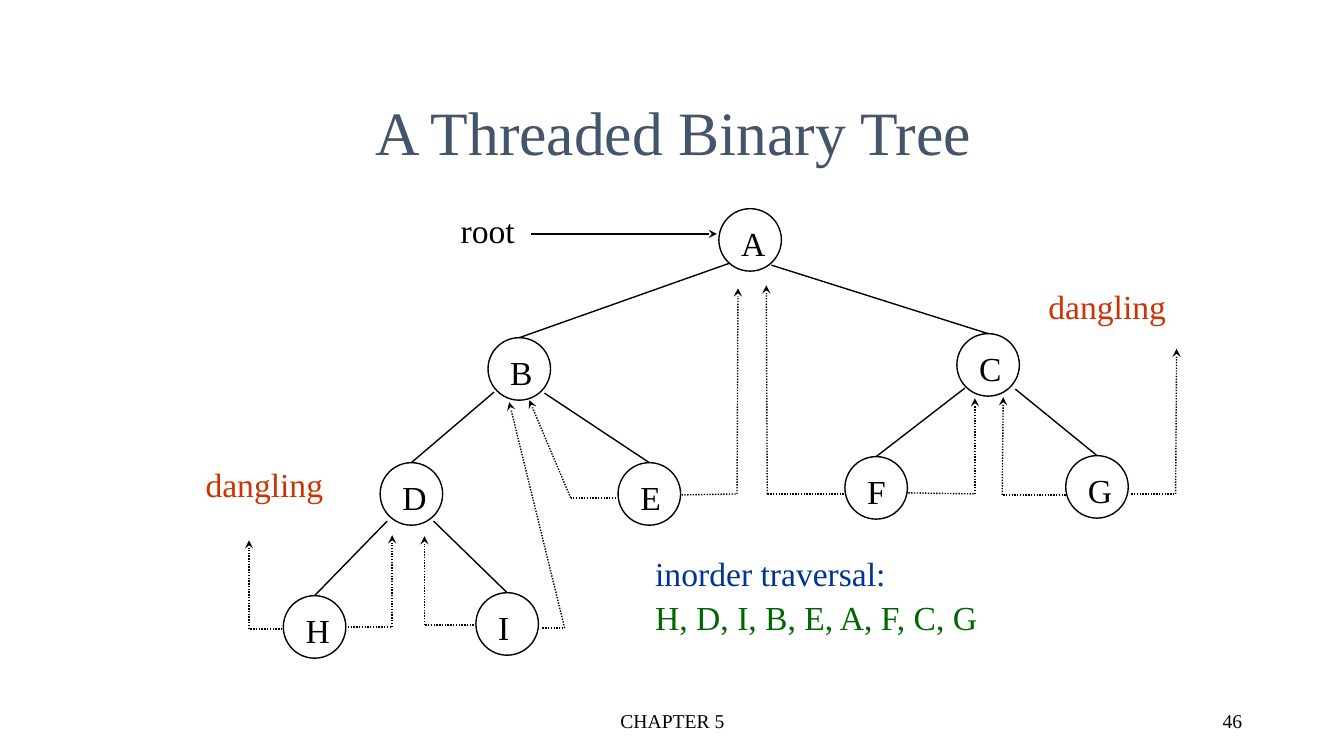
from pptx import Presentation
from pptx.dml.color import RGBColor
from pptx.enum.dml import MSO_LINE
from pptx.enum.shapes import MSO_CONNECTOR, MSO_SHAPE
from pptx.enum.text import MSO_ANCHOR, PP_ALIGN
from pptx.oxml.ns import qn
from pptx.util import Inches, Pt
from lxml import etree

BLACK = RGBColor(0x00, 0x00, 0x00)
SLATE = RGBColor(0x44, 0x54, 0x6A)
RED = RGBColor(0xCC, 0x33, 0x00)
BLUE = RGBColor(0x00, 0x33, 0x99)
GREEN = RGBColor(0x00, 0x66, 0x00)
STRAIGHT = MSO_CONNECTOR.STRAIGHT
OVAL = MSO_SHAPE.OVAL
DOTTED = MSO_LINE.ROUND_DOT
LEFT, CENTER, RIGHT = PP_ALIGN.LEFT, PP_ALIGN.CENTER, PP_ALIGN.RIGHT
TOP, MIDDLE = MSO_ANCHOR.TOP, MSO_ANCHOR.MIDDLE

NODES = {
    "A": (7.13, 2.07),
    "B": (4.84, 3.35),
    "C": (9.49, 3.31),
    "D": (3.77, 4.59),
    "E": (6.13, 4.59),
    "F": (8.38, 4.53),
    "G": (10.57, 4.52),
    "H": (2.81, 5.91),
    "I": (4.72, 5.88),
}

BRANCHES = [
    ((7.24, 2.61), "B"),
    ((7.65, 2.63), "C"),
    ((4.9, 3.89), "D"),
    ((5.4, 3.9), "E"),
    ((9.57, 3.85), "F"),
    ((10.07, 3.86), "G"),
    ((3.84, 5.17), "H"),
    ((4.3, 5.17), "I"),
]

THREADS = [
    ((2.8, 6.24), (2.47, 6.24), (2.47, 5.36)),
    ((3.45, 6.22), (3.89, 6.22), (3.89, 5.31)),
    ((4.7, 6.2), (4.21, 6.2), (4.21, 5.32)),
    ((5.38, 6.23), (5.6, 6.23), (5.05, 3.99)),
    ((6.11, 4.94), (5.66, 4.94), (5.25, 3.97)),
    ((6.76, 4.91), (7.31, 4.9), (7.32, 2.86)),
    ((8.37, 4.9), (7.61, 4.9), (7.6, 2.83)),
    ((9.01, 4.89), (9.67, 4.9), (9.67, 3.95)),
    ((10.57, 4.91), (9.94, 4.91), (9.95, 3.94)),
    ((11.22, 4.9), (11.66, 4.9), (11.67, 3.46)),
]


class TreeSlide:
    font = "Times New Roman"
    node_size = 0.62
    label_size = 24
    line_width = Pt(1)

    def __init__(self, slide):
        self.shapes = slide.shapes

    def style(self, paragraph, color, size, align):
        paragraph.alignment = align
        for run in paragraph.runs:
            run.font.name = self.font
            run.font.size = Pt(size)
            run.font.color.rgb = color

    def text(self, box, lines, size=label_size, align=LEFT, anchor=TOP, wrap=False):
        frame = self.shapes.add_textbox(*map(Inches, box)).text_frame
        frame.word_wrap = wrap
        frame.vertical_anchor = anchor
        frame.text = "\n".join(line for line, _ in lines)
        for paragraph, (_, color) in zip(frame.paragraphs, lines):
            self.style(paragraph, color, size, align)
        for paragraph in frame.paragraphs[1:]:
            paragraph.space_before = Pt(2)

    def node(self, letter, left, top):
        size = Inches(self.node_size)
        circle = self.shapes.add_shape(OVAL, Inches(left), Inches(top), size, size)
        circle.shadow.inherit = False
        circle.fill.background()
        circle.line.color.rgb = BLACK
        circle.line.width = self.line_width
        frame = circle.text_frame
        frame.word_wrap = True
        frame.vertical_anchor = TOP
        frame.margin_left, frame.margin_top = Inches(0.13), Inches(0.05)
        frame.margin_right = frame.margin_bottom = 0
        frame.text = letter
        self.style(frame.paragraphs[0], BLACK, self.label_size, LEFT)
        return circle

    def line(self, start, end, dotted=False, arrow=False):
        connector = self.shapes.add_connector(STRAIGHT, *map(Inches, start + end))
        connector.line.color.rgb = BLACK
        connector.line.width = self.line_width
        if dotted:
            connector.line.dash_style = DOTTED
        if arrow:
            outline = connector.line._get_or_add_ln()
            etree.SubElement(outline, qn("a:tailEnd"), type="stealth")
        etree.SubElement(connector._element.spPr, qn("a:effectLst"))
        return connector

    def branch(self, start, child):
        self.line(start, start).end_connect(child, 0)

    def thread(self, start, corner, tip):
        self.line(start, corner, dotted=True)
        self.line(corner, tip, dotted=True, arrow=True)


def main():
    deck = Presentation()
    deck.slide_width, deck.slide_height = Inches(13.33), Inches(7.5)
    tree = TreeSlide(deck.slides.add_slide(deck.slide_layouts[6]))

    tree.text((1.67, 0.67, 10.02, 1.25), [("A Threaded Binary Tree", SLATE)],
              44, CENTER, MIDDLE, True)
    circles = {letter: tree.node(letter, *place) for letter, place in NODES.items()}
    for start, child in BRANCHES:
        tree.branch(start, circles[child])
    for points in THREADS:
        tree.thread(*points)

    tree.text((4.47, 2.03, 0.75, 0.51), [("root", BLACK)])
    tree.line((5.27, 2.32), (7.11, 2.32), arrow=True)
    for left, top in [(1.94, 4.55), (10.3, 2.79)]:
        tree.text((left, top, 1.37, 0.5), [("dangling", RED)])
    tree.text((6.4, 5.44, 3.43, 0.91),
              [("inorder traversal:", BLUE), ("H, D, I, B, E, A, F, C, G", GREEN)])

    tree.text((4.42, 6.95, 4.5, 0.4), [("CHAPTER 5", BLACK)], 14, CENTER, MIDDLE, True)
    tree.text((9.42, 6.95, 3, 0.4), [("46", BLACK)], 14, RIGHT, MIDDLE, True)
    deck.save("out.pptx")


if __name__ == "__main__":
    main()
